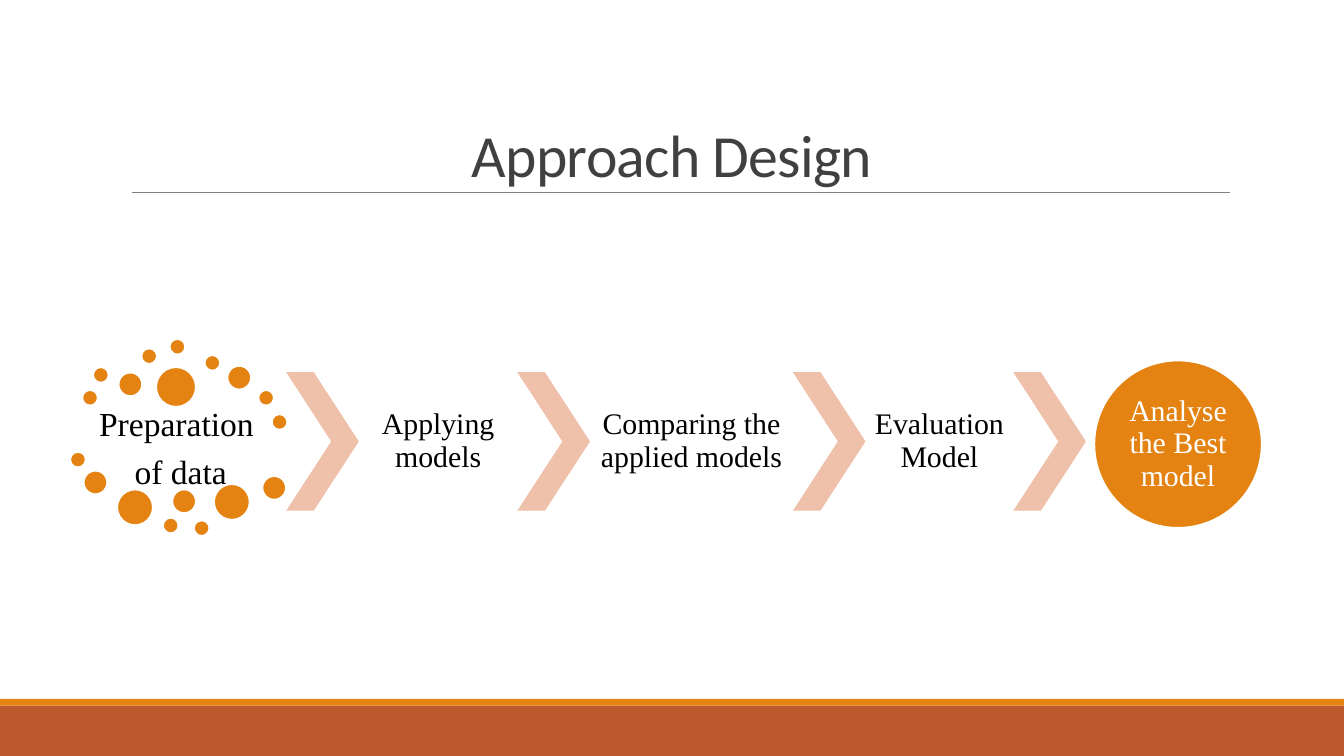
from dataclasses import dataclass

from pptx import Presentation
from pptx.dml.color import RGBColor as Rgb
from pptx.enum.shapes import MSO_CONNECTOR as Link, MSO_SHAPE as Kind
from pptx.enum.text import MSO_ANCHOR as Anchor, PP_ALIGN as Align
from pptx.oxml.ns import qn
from pptx.util import Inches, Pt
from lxml import etree


@dataclass(frozen=True)
class Theme:
    """Colours, fonts and type sizes of the slide."""
    rust: str = "BD582C"
    orange: str = "E48312"
    peach: str = "EFC1AB"
    rule: str = "808080"
    grey: str = "404040"
    black: str = "000000"
    white: str = "FFFFFF"
    head: str = "Calibri"
    body: str = "Times New Roman"
    title: float = 32
    lead: float = 18
    step: float = 16


THEME = Theme()
WIDE = 10
TALL = WIDE * 9 / 16

# Dots around the first step: diameter -> left and top of each
DOTS = {
    0.12: [(0.61, 2.9), (0.69, 2.73), (1.05, 2.59), (1.26, 2.52), (1.52, 2.64),
           (1.92, 2.9), (2.02, 3.08), (0.52, 3.36), (1.21, 3.85), (1.44, 3.87)],
    0.18: [(0.88, 2.77), (1.69, 2.72), (0.62, 3.5), (1.28, 3.64), (1.95, 3.54)],
    0.27: [(0.87, 3.64), (1.59, 3.6)],
    0.3: [(1.16, 2.73)],
}
# Middle steps: text and width
STEPS = [("Applying models", 1.18), ("Comparing the applied models", 1.51),
         ("Evaluation Model", 1.1)]
ARROW = 0.54
ROW_TOP, ROW_TALL = 2.77, 1.03


def add_text(shapes, text, box, *, size=THEME.step, font=THEME.body,
             color=THEME.black, anchor=Anchor.MIDDLE, inset=(0.02, 0.02),
             lead=0.9, after=0, track=None):
    """Add a centred text box; each line of text is a paragraph."""
    frame = shapes.add_textbox(*map(Inches, box)).text_frame
    frame.word_wrap = True
    frame.vertical_anchor = anchor
    frame.margin_left = frame.margin_right = Inches(inset[0])
    frame.margin_top = frame.margin_bottom = Inches(inset[1])
    for num, line in enumerate(text.split("\n")):
        para = frame.add_paragraph() if num else frame.paragraphs[0]
        para.alignment = Align.CENTER
        para.line_spacing = lead
        para.space_after = Pt(after)
        run = para.add_run()
        run.text = line
        run.font.size = Pt(size)
        run.font.name = font
        run.font.color.rgb = Rgb.from_string(color)
        if track is not None:
            run.font._element.set("spc", str(round(track * 100)))


def add_form(shapes, kind, box, fill, edge=None):
    """Add a flat preset shape with an optional outline."""
    form = shapes.add_shape(kind, *map(Inches, box))
    form.shadow.inherit = False
    form.fill.solid()
    form.fill.fore_color.rgb = Rgb.from_string(fill)
    if edge:
        form.line.color.rgb = Rgb.from_string(edge)
        form.line.width = Pt(1.25)
    else:
        form.line.fill.background()
    return form


def add_disc(shapes, left, top, size):
    """Add an orange disc with a white edge."""
    add_form(shapes, Kind.OVAL, (left, top, size, size), THEME.orange, THEME.white)


def add_arrow(shapes, left):
    """Add one chevron of the process row."""
    arrow = add_form(shapes, Kind.CHEVRON, (left, ROW_TOP, ARROW, ROW_TALL),
                     THEME.peach)
    arrow.adjustments[0] = 0.62


def add_rule(shapes, left, right, top):
    """Add a thin horizontal line."""
    line = shapes.add_connector(Link.STRAIGHT, *map(Inches, (left, top, right, top)))
    line.line.color.rgb = Rgb.from_string(THEME.rule)
    line.line.width = Pt(0.5)
    etree.SubElement(line._element.spPr, qn("a:effectLst"))


def add_frame(shapes):
    """Add the footer bands, the title and its rule."""
    add_form(shapes, Kind.RECTANGLE, (0, 5.25, WIDE, TALL - 5.25), THEME.rust)
    add_form(shapes, Kind.RECTANGLE, (0, 5.2, WIDE, 0.05), THEME.orange)
    add_rule(shapes, 0.98, 9.15, 1.43)
    add_text(shapes, "Approach Design", (0.95, 0.63, 8.1, 0.83),
             size=THEME.title, font=THEME.head, color=THEME.grey,
             anchor=Anchor.BOTTOM, inset=(0.1, 0.05), lead=0.85, track=-0.4)


def add_flow(shapes):
    """Add the process from the dotted start to the final disc."""
    add_text(shapes, "Preparation \nof data", (0.61, 3.1, 1.47, 0.49),
             size=THEME.lead, inset=(0.03, 0.03), after=6.5)
    for size, spots in DOTS.items():
        for left, top in spots:
            add_disc(shapes, left, top, size)

    left = 2.13
    for text, wide in STEPS:
        add_arrow(shapes, left)
        add_text(shapes, text, (left + ARROW, ROW_TOP, wide, ROW_TALL))
        left += ARROW + wide
    add_arrow(shapes, left)

    add_disc(shapes, 8.14, 2.68, 1.25)
    add_text(shapes, "Analyse the Best model", (8.32, 2.86, 0.89, 0.89),
             color=THEME.white, inset=(0, 0))


def main():
    """Build and save the slide."""
    deck = Presentation()
    deck.slide_width, deck.slide_height = Inches(WIDE), Inches(TALL)
    slide = deck.slides.add_slide(deck.slide_layouts[6])
    add_frame(slide.shapes)
    add_flow(slide.shapes.add_group_shape().shapes)
    deck.save("out.pptx")


main()
